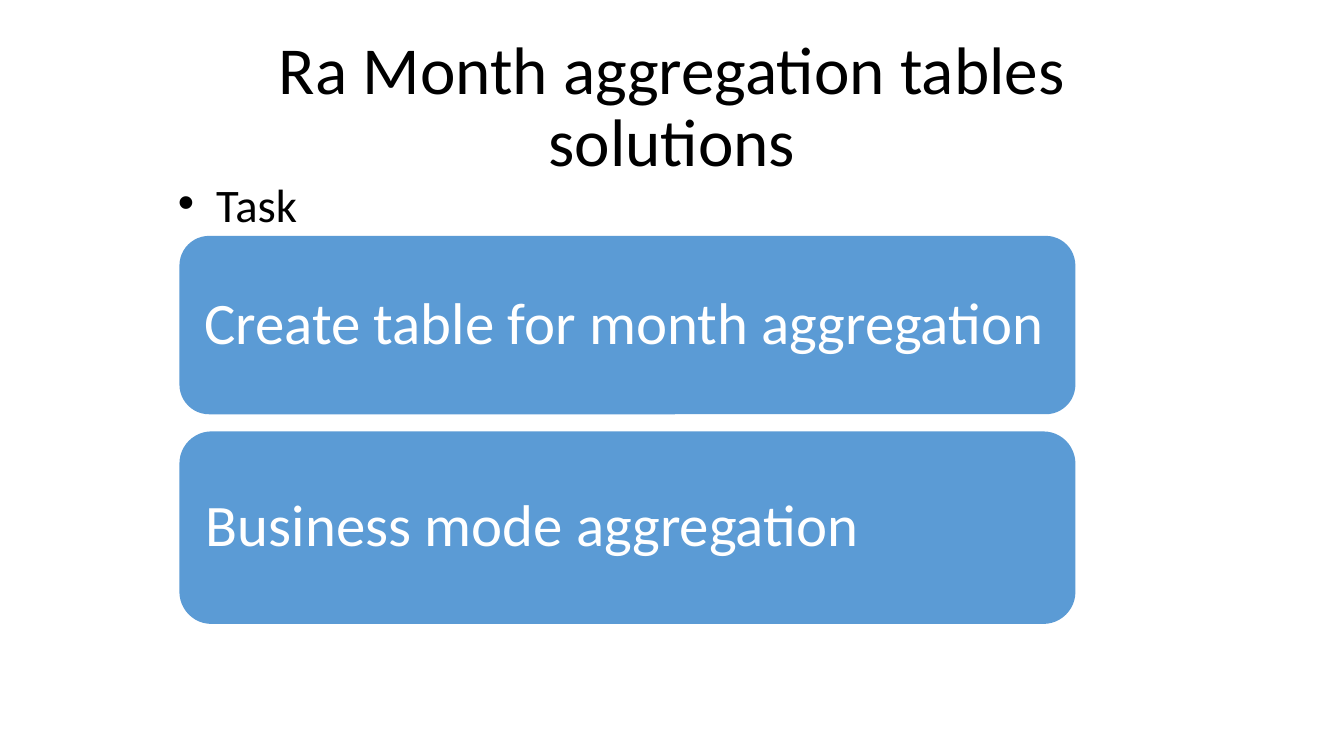
from lxml import etree
from pptx import Presentation
from pptx.dml.color import RGBColor
from pptx.enum.shapes import MSO_SHAPE
from pptx.enum.text import MSO_ANCHOR, PP_ALIGN
from pptx.oxml.ns import qn
from pptx.util import Inches, Pt

BLACK = RGBColor(0x00, 0x00, 0x00)
WHITE = RGBColor(0xFF, 0xFF, 0xFF)
BLUE = RGBColor(0x5B, 0x9B, 0xD5)
TOP, MIDDLE, BOTTOM = MSO_ANCHOR.TOP, MSO_ANCHOR.MIDDLE, MSO_ANCHOR.BOTTOM
LEFT, CENTER = PP_ALIGN.LEFT, PP_ALIGN.CENTER
ROUND = MSO_SHAPE.ROUNDED_RECTANGLE

WIDE, HIGH = 13.33, 7.5
TITLE = "Ra Month aggregation tables solutions"
TASK = "Task"
STEPS = [  # wording, height, left inset
    ("Create table for month aggregation", 1.77, 0.16),
    ("Business mode aggregation", 1.91, 0.17),
]
HEAD_W = WIDE * 0.75
HEAD_X = (WIDE - HEAD_W) / 2
HEAD_Y, HEAD_H, TASK_H = 0.81, 1.04, 0.49
CARD_W = WIDE * 2 / 3
CARD_X, GAP, PAD = 1.78, 0.17, 0.17


def write(shape, text, size, color, anchor, align, lead, bullet=False):
    frame = shape.text_frame
    frame.word_wrap = True
    frame.vertical_anchor = anchor
    para = frame.paragraphs[0]
    para.text = text
    para.alignment = align
    para.line_spacing = lead
    if bullet:
        props = para._p.get_or_add_pPr()
        props.set("marL", str(Inches(0.38)))
        props.set("indent", str(-Inches(0.38)))
        etree.SubElement(props, qn("a:buFont")).set("typeface", "Arial")
        etree.SubElement(props, qn("a:buChar")).set("char", "•")
    font = para.runs[0].font
    for key, value in {"name": "Calibri", "size": Pt(size)}.items():
        setattr(font, key, value)
    font.color.rgb = color


def main():
    deck = Presentation()
    deck.slide_width, deck.slide_height = Inches(WIDE), Inches(HIGH)
    shapes = deck.slides.add_slide(deck.slide_layouts[6]).shapes

    def box(top, high):
        return shapes.add_textbox(*map(Inches, (HEAD_X, top, HEAD_W, high)))

    top = HEAD_Y
    write(box(top, HEAD_H), TITLE, 48, BLACK, BOTTOM, CENTER, 0.9)
    top += HEAD_H
    write(box(top, TASK_H), TASK, 33.3, BLACK, TOP, LEFT, 0.7, bullet=True)
    top += TASK_H

    for text, high, inset in STEPS:
        card = shapes.add_shape(ROUND, *map(Inches, (CARD_X, top, CARD_W, high)))
        card.shadow.inherit = False
        card.fill.solid()
        card.fill.fore_color.rgb = BLUE
        card.line.fill.background()
        pads = {"left": inset, "top": PAD, "right": PAD, "bottom": PAD}
        for side, pad in pads.items():
            setattr(card.text_frame, f"margin_{side}", Inches(pad))
        write(card, text, 42, WHITE, MIDDLE, LEFT, 0.9)
        top += high + GAP

    deck.save("out.pptx")


if __name__ == "__main__":
    main()
